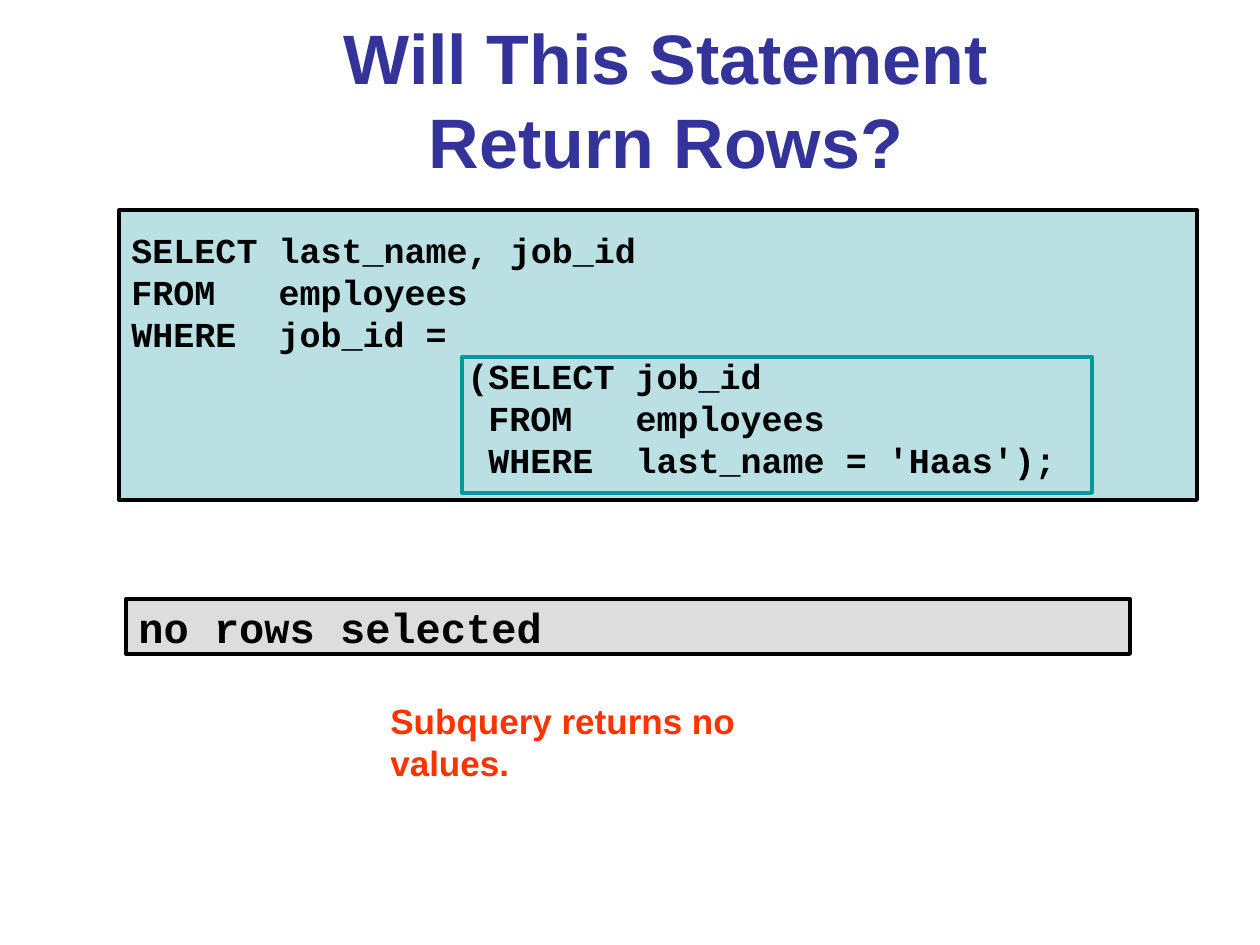
from pptx import Presentation
from pptx.dml.color import RGBColor
from pptx.enum.shapes import MSO_SHAPE
from pptx.enum.text import MSO_ANCHOR, PP_ALIGN
from pptx.util import Pt

PX = 914400 // 126  # EMU in one px
CHAR = 21           # width in px of one 20 pt Courier New character

RECT = MSO_SHAPE.RECTANGLE
TOP, MIDDLE = MSO_ANCHOR.TOP, MSO_ANCHOR.MIDDLE
LEFT, CENTER = PP_ALIGN.LEFT, PP_ALIGN.CENTER

BLACK = RGBColor(0x00, 0x00, 0x00)
NAVY = RGBColor(0x33, 0x33, 0x99)
RED = RGBColor(0xFF, 0x33, 0x00)
TEAL = RGBColor(0x00, 0x99, 0x99)
PALE_BLUE = RGBColor(0xBB, 0xE0, 0xE3)
GREY = RGBColor(0xDD, 0xDD, 0xDD)

# Each code line with its indent in characters
QUERY = [
    (0, "SELECT last_name, job_id"),
    (0, "FROM   employees"),
    (0, "WHERE  job_id ="),
    (16, "(SELECT job_id"),
    (17, "FROM   employees"),
    (17, "WHERE  last_name = 'Haas');"),
]


def px(*lengths):
    return [n * PX for n in lengths]


def add_box(s, box, line, fill=None):
    sp = s.shapes.add_shape(RECT, *px(*box))
    sp.shadow.inherit = False
    if fill is None:
        sp.fill.background()
    else:
        sp.fill.solid()
        sp.fill.fore_color.rgb = fill
    sp.line.color.rgb = line
    sp.line.width = Pt(2.25)
    return sp


def write(sp, lines, size, font, color, anchor=MIDDLE, align=LEFT):
    tf = sp.text_frame
    tf.word_wrap = True
    tf.vertical_anchor = anchor
    for i, (indent, text) in enumerate(lines):
        p = tf.add_paragraph() if i else tf.paragraphs[0]
        p.text = text
        p.alignment = align
        p.font.size = Pt(size)
        p.font.name = font
        p.font.bold = True
        p.font.color.rgb = color
        if indent:
            pPr = p._p.get_or_add_pPr()
            pPr.set("marL", str(indent * CHAR * PX))
            pPr.set("indent", "0")


def add_label(s, box, text, size, color, anchor, align):
    sp = s.shapes.add_textbox(*px(*box))
    write(sp, [(0, text)], size, "Arial", color, anchor, align)


def add_code(s, box, lines, size, fill):
    sp = add_box(s, box, BLACK, fill)
    write(sp, lines, size, "Courier New", BLACK)


def main():
    prs = Presentation()
    prs.slide_width, prs.slide_height = px(1260, 945)
    s = prs.slides.add_slide(prs.slide_layouts[6])

    # Query, with its subquery framed
    add_code(s, (119, 210, 1078, 290), QUERY, 20, PALE_BLUE)
    add_label(s, (230, 50, 872, 97), "Will This Statement Return Rows?",
              40, NAVY, MIDDLE, CENTER)

    # Result
    add_code(s, (126, 599, 1004, 55), [(0, "no rows selected")], 24, GREY)
    add_box(s, (462, 357, 630, 136), TEAL)

    # Explanation
    add_label(s, (378, 693, 470, 97), "Subquery returns no values.",
              20, RED, TOP, LEFT)

    prs.save("out.pptx")


if __name__ == "__main__":
    main()
